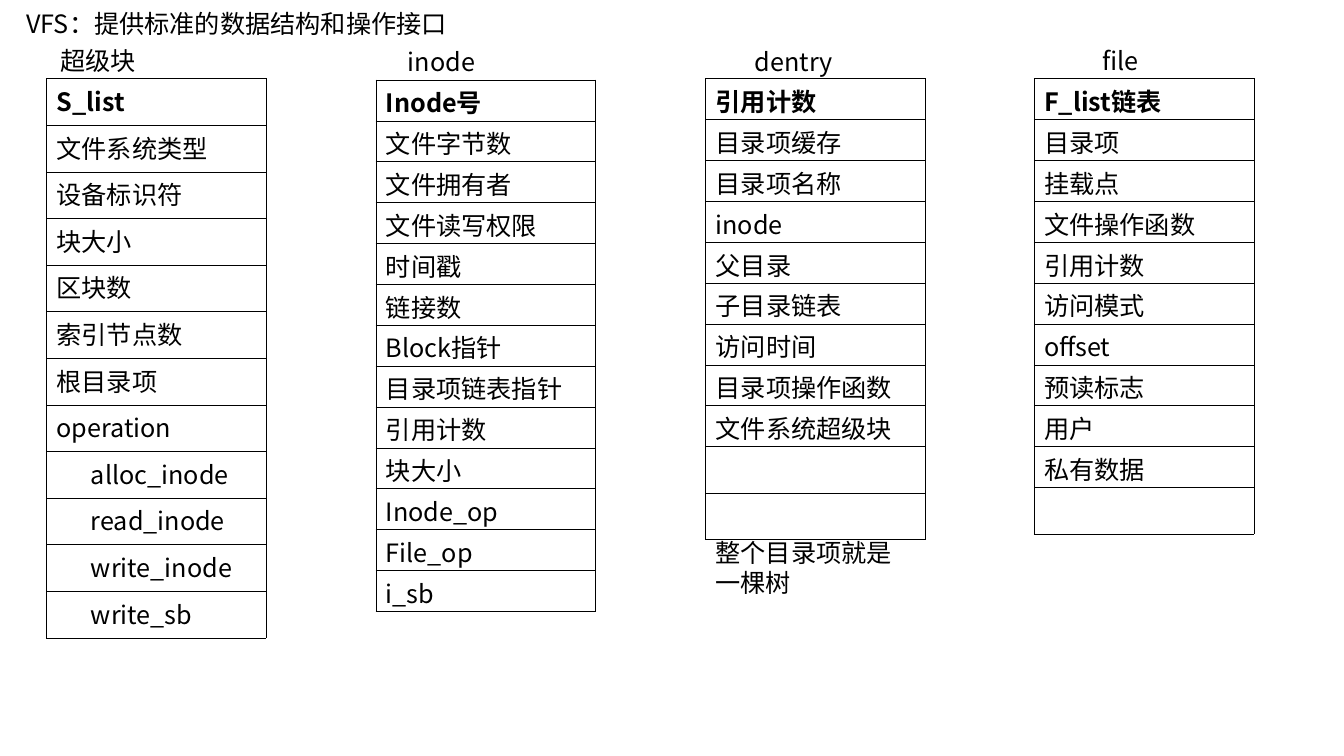
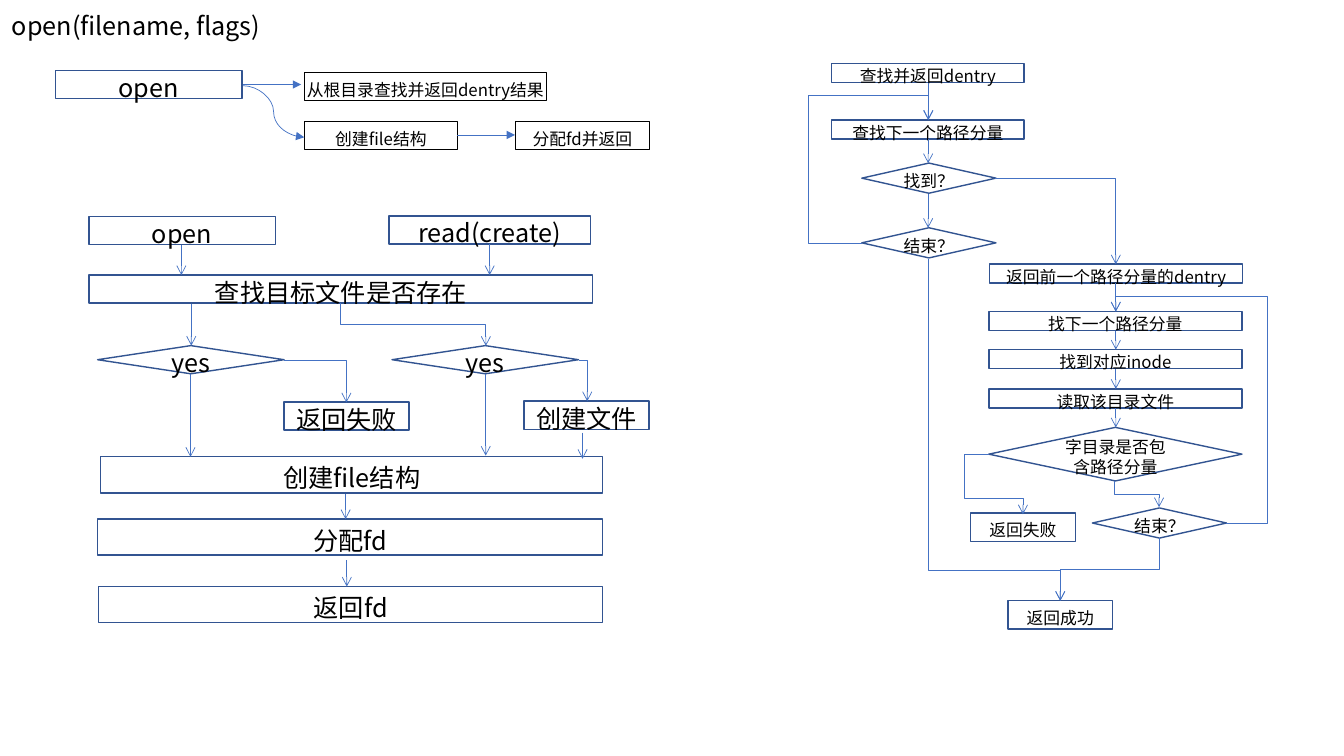
from dataclasses import dataclass

import pptx
import pptx.dml.color
import pptx.enum.shapes
import pptx.enum.text
import pptx.oxml
import pptx.oxml.ns
import pptx.util
from pptx.util import Cm

KIND = pptx.enum.shapes.MSO_SHAPE
LINK = pptx.enum.shapes.MSO_CONNECTOR
ALIGN = pptx.enum.text.PP_ALIGN
ANCHOR = pptx.enum.text.MSO_ANCHOR
NS = pptx.oxml.ns.nsdecls("a")
qn = pptx.oxml.ns.qn


def tint(code: str) -> pptx.dml.color.RGBColor:
    """Turn a hex code into a colour."""
    return pptx.dml.color.RGBColor.from_string(code)


@dataclass(frozen=True)
class Theme:
    """Colours, type sizes and line widths of the deck."""
    font: str = "Noto Sans CJK SC"
    ink: str = "000000"
    paper: str = "FFFFFF"
    edge: str = "325491"
    wire: str = "4472C4"
    big: int = 18
    small: int = 12
    lead: float = 1.2
    thin: float = 0.5


THEME = Theme()


@dataclass(frozen=True)
class Label:
    """Free text at a place, in cm."""
    text: str
    x: float
    y: float
    w: float
    h: float = 1.02


@dataclass(frozen=True)
class Grid:
    """One-column table; its last `deep` rows are indented."""
    rows: str
    x: float
    y: float
    h: float
    deep: int = 0
    w: float = 5.54


@dataclass(frozen=True)
class Box:
    """Node of a flow chart."""
    text: str
    x: float
    y: float
    w: float
    h: float = 0.71
    size: int = THEME.big
    kind: KIND = KIND.RECTANGLE
    note: bool = False
    wrap: bool = False


@dataclass(frozen=True)
class Wire:
    """Connector: its frame before turning, and its preset form."""
    x: float
    y: float
    w: float
    h: float
    form: str = "line"
    turn: int = 0
    flip: str = ""
    bends: tuple[float, ...] = ()
    head: str = "arrow"


def write(para, text: str, size: int, bold: bool = False) -> None:
    """Fill a paragraph and set its type."""
    para.text = text
    para.line_spacing = pptx.util.Pt(size * THEME.lead)
    font = para.font
    font.name, font.size, font.bold = THEME.font, pptx.util.Pt(size), bold
    font.color.rgb = tint(THEME.ink)
    east = f'<a:ea {NS} typeface="{THEME.font}"/>'
    para._p.pPr.find(qn("a:defRPr")).append(pptx.oxml.parse_xml(east))


def add_label(slide, label: Label) -> None:
    """Draw free text."""
    place = map(Cm, (label.x, label.y, label.w, label.h))
    frame = slide.shapes.add_textbox(*place).text_frame
    frame.word_wrap = True
    frame.margin_top = Cm(0.2)
    write(frame.paragraphs[0], label.text, THEME.big)


def add_rules(cell) -> None:
    """Rule all four sides of a cell."""
    props = cell._tc.get_or_add_tcPr()
    for spot, side in enumerate(("lnL", "lnR", "lnT", "lnB")):
        props.insert(spot, pptx.oxml.parse_xml(
            f'<a:{side} {NS} w="3175"><a:solidFill><a:srgbClr val="{THEME.ink}"/>'
            f'</a:solidFill></a:{side}>'))


def add_grid(slide, grid: Grid) -> None:
    """Draw a one-column table with a bold first row."""
    rows = grid.rows.split("|")
    place = map(Cm, (grid.x, grid.y, grid.w, grid.h))
    table = slide.shapes.add_table(len(rows), 1, *place).table
    table.first_row = table.horz_banding = False
    for num, text in enumerate(rows):
        cell = table.cell(num, 0)
        cell.fill.background()
        cell.margin_top, cell.margin_bottom = Cm(0.25), 0
        if num >= len(rows) - grid.deep:
            cell.margin_left = Cm(1.12)
        write(cell.text_frame.paragraphs[0], text, THEME.big, num == 0)
        add_rules(cell)


def add_box(slide, box: Box) -> None:
    """Draw a flow chart node."""
    place = map(Cm, (box.x, box.y, box.w, box.h))
    shape = slide.shapes.add_shape(box.kind, *place)
    shape.shadow.inherit = False
    if box.note:
        shape.fill.solid()
        shape.fill.fore_color.rgb = tint(THEME.paper)
    else:
        shape.fill.background()
    shape.line.color.rgb = tint(THEME.ink if box.note else THEME.edge)
    shape.line.width = pptx.util.Pt(0.75 if box.note else 1)
    frame = shape.text_frame
    frame.word_wrap = box.wrap
    frame.vertical_anchor = ANCHOR.MIDDLE
    frame.margin_top, frame.margin_bottom = Cm(0.15), 0
    para = frame.paragraphs[0]
    para.alignment = ALIGN.CENTER
    write(para, box.text, box.size)


def add_wire(slide, wire: Wire) -> None:
    """Draw a connector with an arrowhead at its end."""
    left, right = wire.x, wire.x + wire.w
    top, foot = wire.y, wire.y + wire.h
    if "h" in wire.flip:
        left, right = right, left
    if "v" in wire.flip:
        top, foot = foot, top
    ends = map(Cm, (left, top, right, foot))
    link = slide.shapes.add_connector(LINK.STRAIGHT, *ends)
    link.line.color.rgb = tint(THEME.wire)
    link.line.width = pptx.util.Pt(THEME.thin)
    props = link._element.spPr
    if wire.turn:
        props.find(qn("a:xfrm")).set("rot", str(wire.turn * 60000))
    guides = "".join(
        f'<a:gd name="adj{num}" fmla="val {round(bend * 100000)}"/>'
        for num, bend in enumerate(wire.bends, 1))
    shape = pptx.oxml.parse_xml(
        f'<a:prstGeom {NS} prst="{wire.form}"><a:avLst>{guides}</a:avLst></a:prstGeom>')
    props.replace(props.find(qn("a:prstGeom")), shape)
    tail = f'<a:tailEnd {NS} type="{wire.head}"/>'
    props.find(qn("a:ln")).append(pptx.oxml.parse_xml(tail))
    props.append(pptx.oxml.parse_xml(f"<a:effectLst {NS}/>"))


def drop(x: float, top: float, foot: float) -> Wire:
    """Make a straight arrow pointing down."""
    return Wire(x, top, 0, foot - top)


def note(text: str, x: float, y: float, w: float) -> Box:
    """Make a white node with a black edge."""
    return Box(text, x, y, w, size=THEME.small, note=True)


def step(text: str, x: float, y: float, w: float, h: float = 0.48) -> Box:
    """Make a small node of the lookup chart."""
    return Box(text, x, y, w, h, THEME.small)


def test(text: str, x: float, y: float) -> Box:
    """Make a small decision node."""
    return Box(text, x, y, 3.38, 0.76, THEME.small, KIND.DIAMOND)


def curve(x: float, y: float, w: float, h: float) -> Wire:
    """Make a curved arrow."""
    return Wire(x, y, w, h, "curvedConnector3", bends=(0.5,), head="triangle")


def bend(x: float, y: float, w: float, h: float, turn: int = 0,
         flip: str = "", *bends: float) -> Wire:
    """Make an elbow arrow with one corner more than its bends."""
    return Wire(x, y, w, h, f"bentConnector{len(bends) + 2}", turn, flip, bends)


LABELS = (
    Label("VFS：提供标准的数据结构和操作接口", 0.41, 0, 15.75),
    Label("超级块", 1.27, 0.94, 5.33),
    Label("inode", 10.03, 0.97, 5.33),
    Label("dentry", 18.77, 0.97, 5.33),
    Label("file", 27.53, 0.94, 5.33),
    Label("整个目录项就是一棵树", 17.78, 13.34, 5.33, 1.8),
)
GRIDS = (
    Grid("S_list|文件系统类型|设备标识符|块大小|区块数|索引节点数|根目录项|operation|"
         "alloc_inode|read_inode|write_inode|write_sb", 1.17, 1.98, 14.09, deep=4),
    Grid("Inode号|文件字节数|文件拥有者|文件读写权限|时间戳|链接数|Block指针|"
         "目录项链表指针|引用计数|块大小|Inode_op|File_op|i_sb", 9.47, 2.01, 13.4),
    Grid("引用计数|目录项缓存|目录项名称|inode|父目录|子目录链表|访问时间|"
         "目录项操作函数|文件系统超级块||", 17.78, 1.98, 11.33),
    Grid("F_list链表|目录项|挂载点|文件操作函数|引用计数|访问模式|offset|"
         "预读标志|用户|私有数据|", 26.06, 1.98, 11.33),
)
BOXES = (
    Box("open", 1.4, 1.78, 4.7),
    note("创建file结构", 7.67, 3.07, 3.86),
    note("分配fd并返回", 12.98, 3.07, 3.4),
    note("从根目录查找并返回dentry结果", 7.67, 1.83, 6.1),
    Box("open", 2.24, 5.46, 4.7),
    Box("read(create)", 9.8, 5.44, 5.08),
    Box("查找目标文件是否存在", 2.24, 6.93, 12.7),
    Box("yes", 2.46, 8.71, 4.7, kind=KIND.DIAMOND),
    Box("yes", 9.88, 8.71, 4.7, kind=KIND.DIAMOND),
    Box("返回失败", 7.16, 10.13, 3.15),
    Box("创建文件", 13.21, 10.11, 3.15),
    Box("创建file结构", 2.54, 11.51, 12.65, 0.91),
    Box("分配fd", 2.46, 13.08, 12.73, 0.91),
    Box("返回fd", 2.49, 14.78, 12.7, 0.91),
    step("查找并返回dentry", 20.96, 1.6, 4.85),
    step("查找下一个路径分量", 20.96, 3.02, 4.85),
    test("找到？", 21.72, 4.11),
    test("结束？", 21.72, 5.74),
    step("返回前一个路径分量的dentry", 24.94, 6.65, 6.38),
    step("找下一个路径分量", 24.92, 7.85, 6.38),
    step("找到对应inode", 24.92, 8.81, 6.38),
    step("读取该目录文件", 24.92, 9.8, 6.38),
    Box("字目录是否包含路径分量", 24.92, 10.77, 6.38, 1.35, THEME.small,
        KIND.DIAMOND, wrap=True),
    step("返回失败", 24.46, 12.93, 2.64, 0.71),
    test("结束？", 27.53, 12.8),
    step("返回成功", 25.4, 15.14, 2.64, 0.71),
)
WIRES = (
    curve(6.12, 2.13, 1.47, 0),
    curve(11.53, 3.4, 1.45, 0),
    curve(6.12, 2.16, 1.55, 1.3),
    drop(4.57, 6.17, 6.93),
    drop(12.34, 6.15, 6.93),
    drop(4.82, 7.65, 8.71),
    drop(4.8, 9.42, 11.51),
    drop(12.24, 9.42, 11.48),
    drop(14.68, 10.9, 11.56),
    drop(8.71, 12.45, 13.08),
    drop(8.74, 14.12, 14.78),
    drop(23.39, 2.08, 3.02),
    drop(23.39, 3.51, 4.11),
    drop(23.39, 4.88, 5.74),
    drop(28.12, 7.14, 7.85),
    drop(28.12, 8.33, 8.81),
    drop(28.12, 9.3, 9.8),
    drop(28.12, 10.29, 10.77),
    bend(9.88, 6.35, 1.07, 3.66, 90, "v", 0.5),
    bend(14.6, 9.07, 0.2, 1.04),
    bend(7.16, 9.07, 1.57, 1.07),
    bend(21.72, 3.02, 1.68, 3.12, 180, "h", -0.81, 1.2),
    bend(25.07, 4.5, 3.05, 2.16),
    bend(28.12, 7.85, 2.79, 5.33, 0, "hv", -0.37, 1.07),
    bend(24.92, 11.46, 0.86, 1.5, 180, "hv", -0.73, 0.73),
    bend(28.32, 11.89, 0.66, 1.12, 270, "h", 0.5),
    bend(27.18, 13.11, 1.57, 2.49, 90, "", 0.5),
    bend(20.75, 9.17, 8.61, 3.33, 270, "h", 0.91),
)


def main() -> None:
    """Build and save both slides."""
    deck = pptx.Presentation()
    deck.slide_width, deck.slide_height = Cm(33.87), Cm(19.05)
    blank = deck.slide_layouts[6]
    nodes = deck.slides.add_slide(blank)
    for grid in GRIDS:
        add_grid(nodes, grid)
    for label in LABELS:
        add_label(nodes, label)
    flow = deck.slides.add_slide(blank)
    add_label(flow, Label("open(filename, flags)", 0.05, 0.05, 24.82))
    for box in BOXES:
        add_box(flow, box)
    for wire in WIRES:
        add_wire(flow, wire)
    deck.save("out.pptx")


main()
